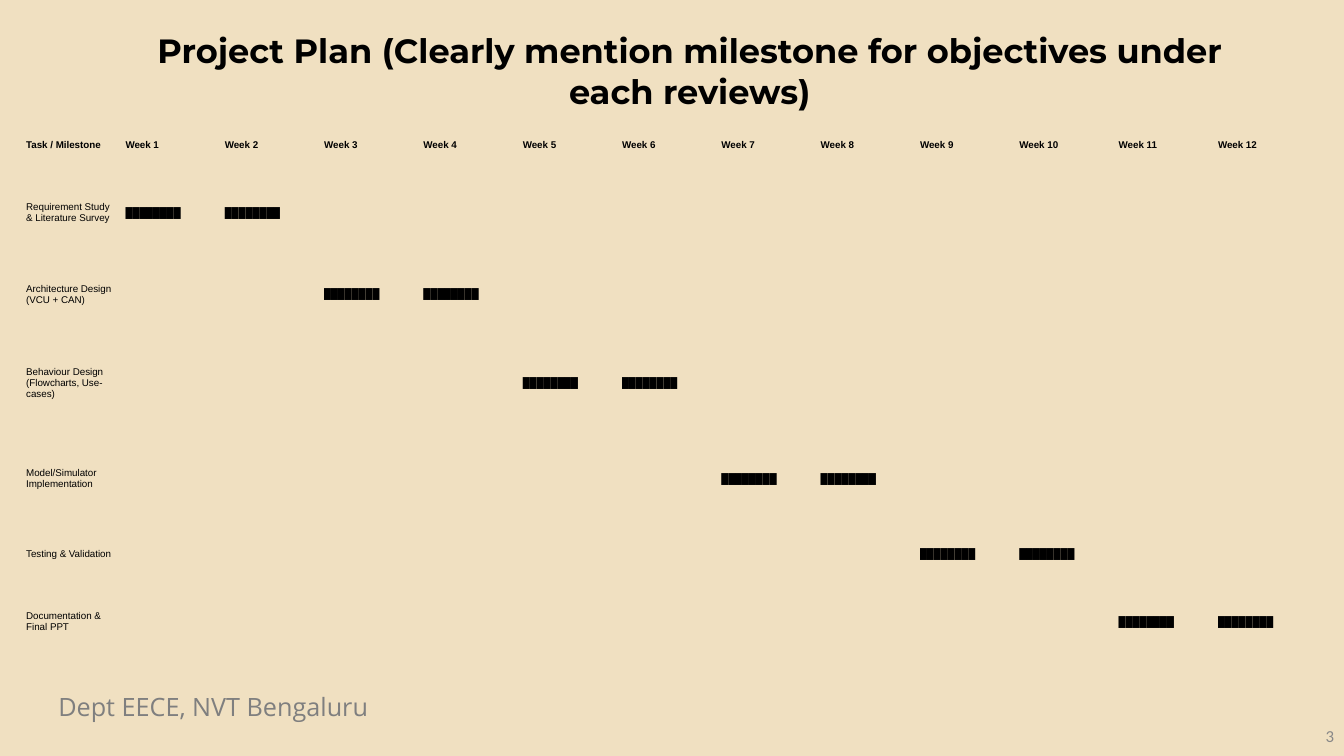
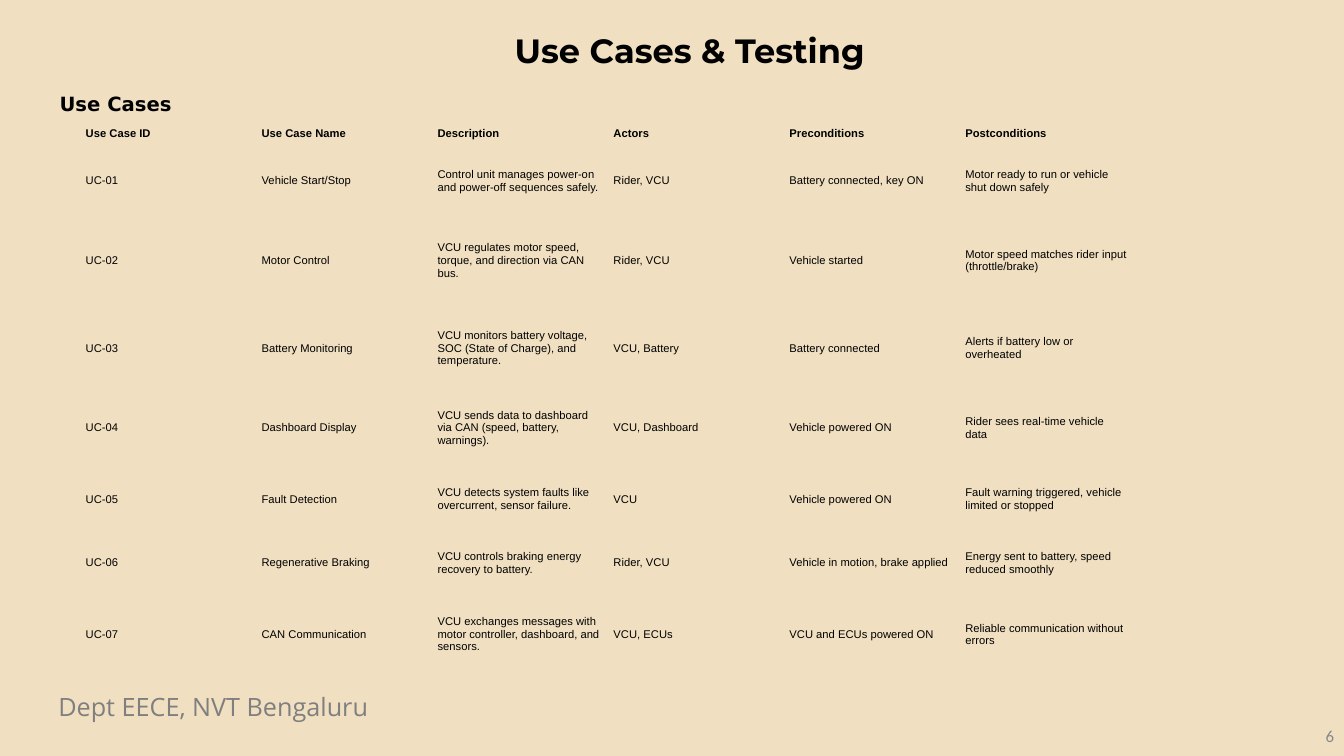
import dataclasses
from typing import Optional

import pptx
import pptx.dml.color
import pptx.enum.text
import pptx.oxml.ns
import pptx.oxml.xmlchemy
import pptx.util
from lxml import etree

RGBColor = pptx.dml.color.RGBColor
Align = pptx.enum.text.PP_ALIGN
Anchor = pptx.enum.text.MSO_ANCHOR
AutoSize = pptx.enum.text.MSO_AUTO_SIZE

SAND = RGBColor(0xF0, 0xE0, 0xC1)
BLACK = RGBColor(0x00, 0x00, 0x00)
FOOTER_GRAY = RGBColor(0x7F, 0x7F, 0x7F)
NUMBER_GRAY = RGBColor(0x88, 0x88, 0x88)

EMU_PER_PX = 9144  # 100 px to the inch
PLAIN_TABLE_STYLE = "{2D5ABB26-0587-4C30-8999-92F81FD0307C}"
TITLE_ONLY, TITLE_AND_BODY = 5, 1
FOOTER = "Dept EECE, NVT Bengaluru"
BAR = "█" * 8
WEEKS = 12
WEEKS_PER_TASK = 2


@dataclasses.dataclass(frozen=True)
class Area:
    left: int
    top: int
    width: int
    height: int

    def emu(self) -> tuple:
        return tuple(px(n) for n in dataclasses.astuple(self))


@dataclasses.dataclass(frozen=True)
class TextStyle:
    font: str
    size: int
    color: RGBColor = BLACK
    bold: bool = False
    align: Align = Align.LEFT


@dataclasses.dataclass(frozen=True)
class Grid:
    area: Area
    row_heights: tuple
    side_inset: int
    text_size: int
    rows: list


@dataclasses.dataclass(frozen=True)
class Page:
    number: int
    title: str
    grid: Grid
    heading: Optional[str] = None


TITLE_AREA = Area(109, 25, 1150, 54)
HEADING_AREA = Area(49, 86, 630, 627)
FOOTER_AREA = Area(48, 681, 524, 40)
NUMBER_AREA = Area(1033, 710, 300, 40)

TITLE_STYLE = TextStyle("Montserrat", 24, bold=True, align=Align.CENTER)
HEADING_STYLE = TextStyle("DejaVu Sans", 14, bold=True)
FOOTER_STYLE = TextStyle("Open Sans", 18, FOOTER_GRAY)
NUMBER_STYLE = TextStyle("Calibri", 12, NUMBER_GRAY, align=Align.RIGHT)

TASKS = (
    "Requirement Study & Literature Survey",
    "Architecture Design (VCU + CAN)",
    "Behaviour Design (Flowcharts, Use-cases)",
    "Model/Simulator Implementation",
    "Testing & Validation",
    "Documentation & Final PPT",
)

USE_CASES = (
    ("Vehicle Start/Stop",
     "Control unit manages power-on and power-off sequences safely.",
     "Rider, VCU", "Battery connected, key ON",
     "Motor ready to run or vehicle shut down safely"),
    ("Motor Control",
     "VCU regulates motor speed, torque, and direction via CAN bus.",
     "Rider, VCU", "Vehicle started",
     "Motor speed matches rider input (throttle/brake)"),
    ("Battery Monitoring",
     "VCU monitors battery voltage, SOC (State of Charge), and temperature.",
     "VCU, Battery", "Battery connected",
     "Alerts if battery low or overheated"),
    ("Dashboard Display",
     "VCU sends data to dashboard via CAN (speed, battery, warnings).",
     "VCU, Dashboard", "Vehicle powered ON",
     "Rider sees real-time vehicle data"),
    ("Fault Detection",
     "VCU detects system faults like overcurrent, sensor failure.",
     "VCU", "Vehicle powered ON",
     "Fault warning triggered, vehicle limited or stopped"),
    ("Regenerative Braking",
     "VCU controls braking energy recovery to battery.",
     "Rider, VCU", "Vehicle in motion, brake applied",
     "Energy sent to battery, speed reduced smoothly"),
    ("CAN Communication",
     "VCU exchanges messages with motor controller, dashboard, and sensors.",
     "VCU, ECUs", "VCU and ECUs powered ON",
     "Reliable communication without errors"),
)


def px(length: int) -> pptx.util.Emu:
    return pptx.util.Emu(length * EMU_PER_PX)


def plan_rows() -> list:
    """Header, then one row per task with bars in that task's weeks."""
    rows = [["Task / Milestone"] + [f"Week {week + 1}" for week in range(WEEKS)]]
    for index, task in enumerate(TASKS):
        bars = [BAR if week // WEEKS_PER_TASK == index else ""
                for week in range(WEEKS)]
        rows.append([task] + bars)
    return rows


def use_case_rows() -> list:
    header = ["Use Case ID", "Use Case Name", "Description", "Actors",
              "Preconditions", "Postconditions"]
    return [header] + [[f"UC-{number:02d}", *case]
                       for number, case in enumerate(USE_CASES, 1)]


def write(frame, text: str, style: TextStyle) -> None:
    para = frame.paragraphs[0]
    para.alignment = style.align
    para.space_before = pptx.util.Pt(0)
    span = para.add_run()
    span.text = text
    span.font.name = style.font
    span.font.size = pptx.util.Pt(style.size)
    span.font.bold = style.bold
    span.font.color.rgb = style.color


def fill_placeholder(box, area: Area, text: str, style: TextStyle) -> None:
    box.left, box.top, box.width, box.height = area.emu()
    frame = box.text_frame
    frame.word_wrap = True
    frame.auto_size = AutoSize.NONE
    frame.vertical_anchor = Anchor.TOP
    write(frame, text, style)


def remove_bullet(para) -> None:
    properties = para._p.get_or_add_pPr()
    properties.set("marL", "0")
    properties.set("indent", "0")
    etree.SubElement(properties, pptx.oxml.ns.qn("a:buNone"))


def add_text(slide, area: Area, text: str, style: TextStyle,
             anchor: Anchor, auto_size: AutoSize) -> None:
    frame = slide.shapes.add_textbox(*area.emu()).text_frame
    frame.word_wrap = True
    frame.auto_size = auto_size
    frame.vertical_anchor = anchor
    write(frame, text, style)


def add_grid(slide, grid: Grid) -> None:
    """Draw a borderless, unfilled table with equal columns and a bold header."""
    column_count = len(grid.rows[0])
    holder = slide.shapes.add_table(len(grid.rows), column_count, *grid.area.emu())
    table = holder.table
    table.horz_banding = False
    table.first_row = False
    for style_id in holder.element.iter(pptx.oxml.ns.qn("a:tableStyleId")):
        style_id.text = PLAIN_TABLE_STYLE
    for column in table.columns:
        column.width = pptx.util.Emu(px(grid.area.width) // column_count)
    for row_index, (height, texts) in enumerate(zip(grid.row_heights, grid.rows)):
        table.rows[row_index].height = px(height)
        style = TextStyle("Arial", grid.text_size, bold=row_index == 0)
        for column_index, text in enumerate(texts):
            cell = table.cell(row_index, column_index)
            cell.fill.background()
            cell.vertical_anchor = Anchor.MIDDLE
            cell.margin_left = cell.margin_right = px(grid.side_inset)
            cell.margin_top = cell.margin_bottom = px(3)
            if text:
                write(cell.text_frame, text, style)


def add_page(deck, page: Page) -> None:
    layout = TITLE_AND_BODY if page.heading else TITLE_ONLY
    slide = deck.slides.add_slide(deck.slide_layouts[layout])
    add_text(slide, FOOTER_AREA, FOOTER, FOOTER_STYLE,
             Anchor.TOP, AutoSize.SHAPE_TO_FIT_TEXT)
    add_text(slide, NUMBER_AREA, str(page.number), NUMBER_STYLE,
             Anchor.MIDDLE, AutoSize.NONE)
    fill_placeholder(slide.shapes.title, TITLE_AREA, page.title, TITLE_STYLE)
    if page.heading:
        body = slide.placeholders[1]
        fill_placeholder(body, HEADING_AREA, page.heading, HEADING_STYLE)
        remove_bullet(body.text_frame.paragraphs[0])
    add_grid(slide, page.grid)


def main() -> None:
    deck = pptx.Presentation()
    deck.slide_width, deck.slide_height = px(1333), px(750)
    background = deck.slide_master.background.fill
    background.solid()
    background.fore_color.rgb = SAND

    plan = Grid(Area(21, 120, 1281, 535), (47, 88, 74, 102, 88, 61, 74),
                5, 7, plan_rows())
    use_cases = Grid(Area(79, 121, 1047, 555), (23, 71, 87, 87, 71, 71, 55, 87),
                     6, 8, use_case_rows())
    pages = (
        Page(3, "Project Plan (Clearly mention milestone for objectives "
                "under each reviews)", plan),
        Page(6, "Use Cases & Testing", use_cases, "Use Cases"),
    )
    for page in pages:
        add_page(deck, page)
    deck.save("out.pptx")


if __name__ == "__main__":
    main()
